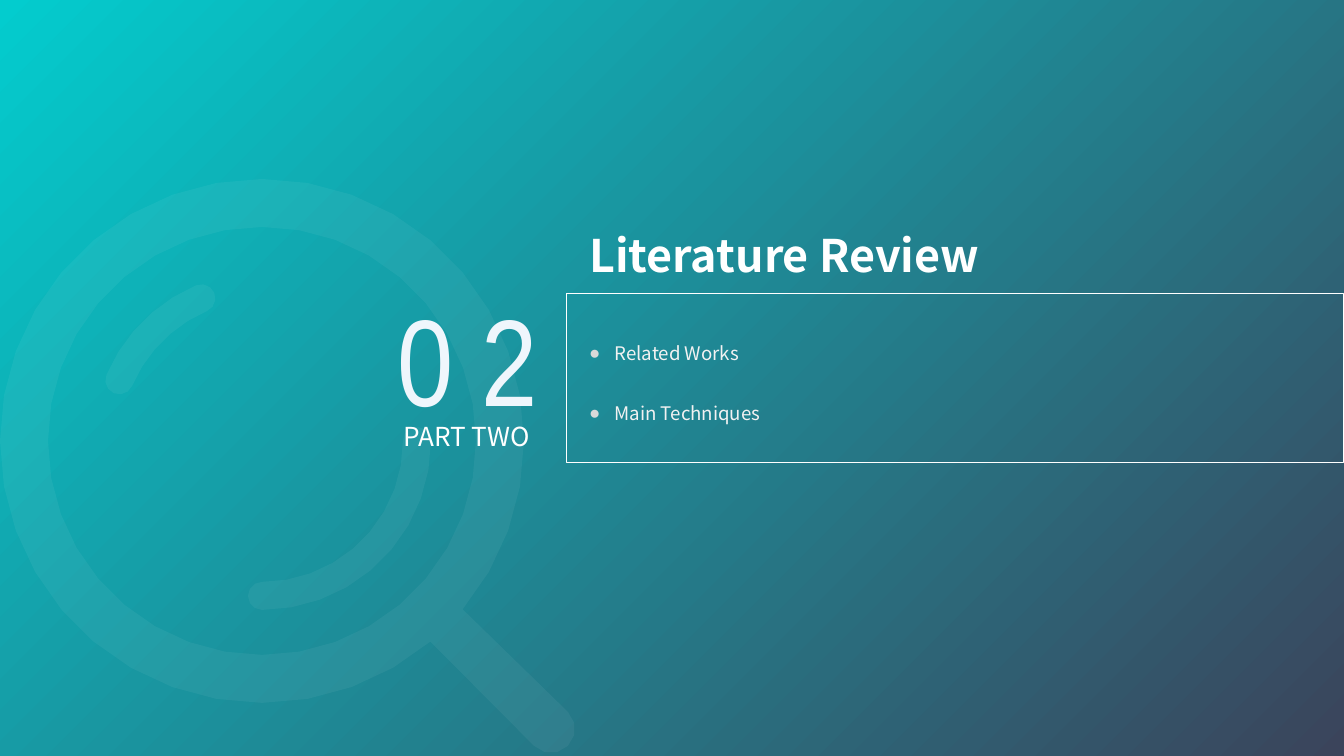
"""Build the section slide for part two, Literature Review."""
from math import ceil, cos, radians, sin

from lxml.etree import SubElement
from pptx import Presentation
from pptx.dml.color import RGBColor
from pptx.enum.shapes import MSO_SHAPE as Shape
from pptx.enum.text import MSO_ANCHOR as Anchor, MSO_AUTO_SIZE as AutoSize, PP_ALIGN as Align
from pptx.oxml.ns import qn
from pptx.util import Inches, Pt

SANS = "Noto Sans CJK SC"
WHITE = "FFFFFF"
GRADIENT = [(0, "03CCCE"), (1, "3B445B")]
TITLE = "Literature Review"
TOPICS = ["Related Works", "Main Techniques"]
LABELS = [
    ("0 2", (378, 277, 179, 163), "Arial Narrow", 66, "EFF6FC", False),
    ("PART TWO", (378, 414, 177, 46), SANS, 14, WHITE, True),
]
TITLE_BOX = (576, 220, 540, 70)
FRAME_BOX = (566, 294, 778, 169)
TOPICS_BOX = (576, 328, 206, 101)

LENS_CENTER = (262, 441)
LENS_OUTER, LENS_INNER = 262, 214
HANDLE_ANGLES = (50, 400)
HANDLE_END, HANDLE_RADIUS = (551, 729), 24
GLINT_RADIUS, GLINT_HALF = 155, 14
GLINTS = [(203, 247), (0, 90)]

PX = Inches(10) / 1344


def emu(*lengths):
    return [round(length * PX) for length in lengths]


def color(value):
    return RGBColor.from_string(value)


def arc(center, radius, start, end):
    steps = ceil(abs(end - start) / (10 if radius > 100 else 30))
    angles = [radians(start + (end - start) * i / steps) for i in range(steps + 1)]
    return [(center[0] + radius * cos(a), center[1] + radius * sin(a)) for a in angles]


def glint(start, end):
    center_line = arc(LENS_CENTER, GLINT_RADIUS, start, end)
    return (arc(LENS_CENTER, GLINT_RADIUS + GLINT_HALF, start, end)
            + arc(center_line[-1], GLINT_HALF, end, end + 180)[1:-1]
            + arc(LENS_CENTER, GLINT_RADIUS - GLINT_HALF, end, start)
            + arc(center_line[0], GLINT_HALF, start + 180, start + 360)[1:-1])


def add_magnifier(slide):
    body = (arc(LENS_CENTER, LENS_OUTER, *HANDLE_ANGLES)
            + arc(HANDLE_END, HANDLE_RADIUS, -45, 135))
    hole = arc(LENS_CENTER, LENS_INNER, 0, 360)[:-1]
    outlines = [[emu(*point) for point in outline]
                for outline in (body, hole, *(glint(*angles) for angles in GLINTS))]
    builder = slide.shapes.build_freeform(*outlines[0][0])
    builder.add_line_segments(outlines[0][1:])
    for outline in outlines[1:]:
        builder.move_to(*outline[0])
        builder.add_line_segments(outline[1:])
    magnifier = builder.convert_to_shape()
    magnifier.shadow.inherit = False
    magnifier.line.fill.background()
    magnifier.fill.solid()
    magnifier.fill.fore_color.rgb = color(WHITE)
    fill = magnifier.fill._xPr.find(qn("a:solidFill"))
    SubElement(fill[0], qn("a:alpha"), val="5000")


def style(paragraph, name, size, value, bold=False):
    font = paragraph.font
    font.name, font.size, font.bold = name, Pt(size), bold
    font.color.rgb = color(value)


def add_outline(slide, kind, box):
    shape = slide.shapes.add_shape(kind, *emu(*box))
    shape.shadow.inherit = False
    shape.fill.background()
    shape.line.fill.background()
    return shape


def add_text(slide, box, wrap):
    frame = slide.shapes.add_textbox(*emu(*box)).text_frame
    frame.word_wrap = wrap
    frame.auto_size = AutoSize.SHAPE_TO_FIT_TEXT
    return frame


def add_topics(slide):
    frame = add_text(slide, TOPICS_BOX, False)
    for index, topic in enumerate(TOPICS):
        paragraph = frame.add_paragraph() if index else frame.paragraphs[0]
        paragraph.text = topic
        paragraph.line_spacing = Pt(16)
        if index:
            paragraph.space_before = Pt(16)
        properties = paragraph._p.get_or_add_pPr()
        indent = Inches(0.19)
        properties.set("marL", str(indent))
        properties.set("indent", str(-indent))
        bullet_color = SubElement(properties, qn("a:buClr"))
        SubElement(bullet_color, qn("a:srgbClr"), val="D9D9D9")
        SubElement(properties, qn("a:buFont"), typeface="Arial")
        SubElement(properties, qn("a:buChar"), char="●")
        style(paragraph, SANS, 10, "F2F2F2")


def main():
    presentation = Presentation()
    presentation.slide_width, presentation.slide_height = emu(1344, 756)
    slide = presentation.slides.add_slide(presentation.slide_layouts[6])

    background = slide.background.fill
    background.gradient()
    background.gradient_angle = 315
    for stop, (position, value) in zip(background.gradient_stops, GRADIENT):
        stop.position, stop.color.rgb = position, color(value)

    add_magnifier(slide)
    frame = add_outline(slide, Shape.RECTANGLE, FRAME_BOX)
    frame.line.color.rgb = color(WHITE)
    frame.line.width = Pt(0.5)

    title = add_outline(slide, Shape.ROUNDED_RECTANGLE, TITLE_BOX)
    title.adjustments[0] = 0
    title.text_frame.vertical_anchor = Anchor.MIDDLE
    paragraph = title.text_frame.paragraphs[0]
    paragraph.text, paragraph.alignment = TITLE, Align.LEFT
    style(paragraph, SANS, 24, WHITE, True)

    for text, box, name, size, value, wrap in LABELS:
        paragraph = add_text(slide, box, wrap).paragraphs[0]
        paragraph.text, paragraph.alignment = text, Align.CENTER
        style(paragraph, name, size, value)
    add_topics(slide)
    presentation.save("out.pptx")


if __name__ == "__main__":
    main()
